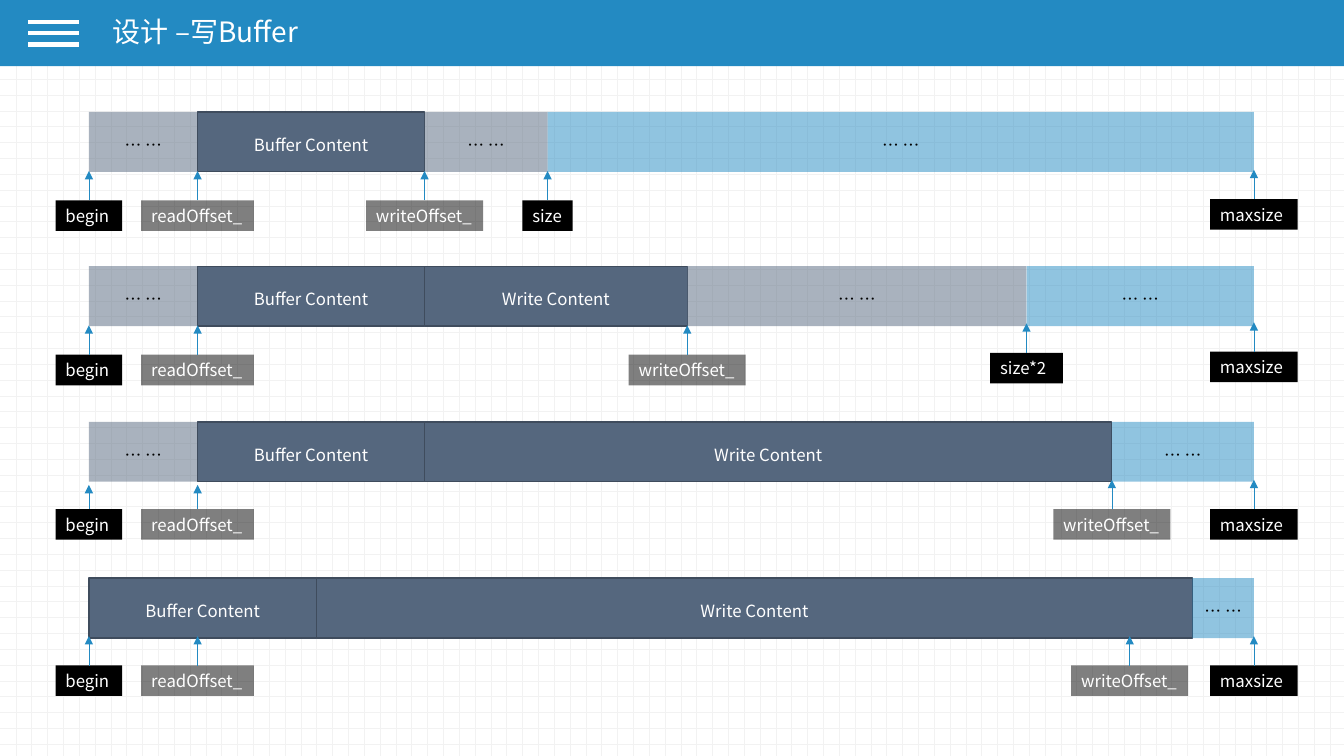
"""Build the buffer-writing slide: four memory layouts with their offset markers."""
from dataclasses import dataclass

import pptx
import pptx.dml.color
import pptx.enum.dml
import pptx.enum.shapes
import pptx.enum.text
import pptx.oxml
import pptx.oxml.ns
import pptx.oxml.xmlchemy
import pptx.util
from pptx.util import Cm

COLORS = {"blue": "238AC2", "slate": "55677E", "edge": "3F4C5D",
          "black": "000000", "white": "FFFFFF", "grid": "F2F2F2"}
FONT = "Noto Sans CJK SC"
LEFT, READ, WRITE, SIZE, MAX = 2.24, 4.98, 10.7, 13.8, 31.6
GAP = "… …"
SEG_H, LABEL_H, ARROW = 1.51, 0.77, 0.74


@dataclass
class Segment:
    """A stretch of memory running up to a given end."""
    text: str
    color: str
    end: float


@dataclass
class Marker:
    """A label centred under the position it points at."""
    text: str
    x: float
    width: float
    color: str = "black"
    alpha: int = 100
    lift: float = 0
    arrow: float = ARROW


@dataclass
class Row:
    """One memory layout."""
    top: float
    label_top: float
    segments: list[Segment]
    markers: list[Marker]


def content(text: str, end: float) -> Segment:
    """Describe a filled segment."""
    return Segment(text, "slate", end)


def gap(color: str, end: float) -> Segment:
    """Describe an unused segment."""
    return Segment(GAP, color, end)


def markers(write_x: float, *extra: Marker, max_lift: float = 0,
            arrow: float = ARROW) -> list[Marker]:
    """List the markers every row has, plus any extra ones."""
    return [Marker("begin", LEFT, 1.68, arrow=arrow),
            Marker("readOffset_", READ, 2.84, alpha=50, arrow=arrow),
            Marker("writeOffset_", write_x, 2.95, alpha=50),
            *extra,
            Marker("maxsize", MAX, 2.21, lift=max_lift)]


ROWS = [
    Row(2.82, 5.05,
        [gap("slate", READ), content("Buffer Content", WRITE), gap("slate", SIZE), gap("blue", MAX)],
        markers(WRITE, Marker("size", SIZE, 1.27), max_lift=0.03)),
    Row(6.71, 8.94,
        [gap("slate", READ), content("Buffer Content", WRITE), content("Write Content", 17.32),
         gap("slate", 25.87), gap("blue", MAX)],
        markers(17.32, Marker("size*2", 25.87, 1.83, lift=0.05), max_lift=0.08)),
    Row(10.63, 12.83,
        [gap("slate", READ), content("Buffer Content", WRITE), content("Write Content", 28.02),
         gap("blue", MAX)],
        markers(28.02, arrow=0.61)),
    Row(14.57, 16.77,
        [content("Buffer Content", 7.98), content("Write Content", 30.05), gap("blue", MAX)],
        markers(28.47)),
]


def rgb(name: str) -> pptx.dml.color.RGBColor:
    """Look up a colour."""
    return pptx.dml.color.RGBColor.from_string(COLORS[name])


def add_text(shape, text: str, color: str, size: int = 12):
    """Write one formatted paragraph in a shape and return it."""
    tf = shape.text_frame
    tf.text = text
    tf.word_wrap = True
    tf.vertical_anchor = pptx.enum.text.MSO_ANCHOR.MIDDLE
    p = tf.paragraphs[0]
    p.alignment = pptx.enum.text.PP_ALIGN.LEFT
    for r in p.runs:
        r.font.name = FONT
        r.font.size = pptx.util.Pt(size)
        r.font.color.rgb = rgb(color)
        ea = pptx.oxml.xmlchemy.OxmlElement("a:ea")
        ea.set("typeface", FONT)
        r.font._element.find(pptx.oxml.ns.qn("a:latin")).addnext(ea)
    return p


def add_box(s, x: float, y: float, w: float, h: float, color: str, alpha: int = 100):
    """Draw a borderless rectangle with the given opacity in percent."""
    box = s.shapes.add_shape(pptx.enum.shapes.MSO_SHAPE.RECTANGLE, Cm(x), Cm(y), Cm(w), Cm(h))
    box.shadow.inherit = False
    box.fill.solid()
    box.fill.fore_color.rgb = rgb(color)
    box.line.fill.background()
    if alpha < 100:
        node = pptx.oxml.xmlchemy.OxmlElement("a:alpha")
        node.set("val", str(alpha * 1000))
        box.element.spPr.find(".//" + pptx.oxml.ns.qn("a:srgbClr")).append(node)
    return box


def add_line(s, x1: float, y1: float, x2: float, y2: float, color: str, width: float,
             arrow: bool = False) -> None:
    """Draw a straight line, with an arrowhead at its end if asked."""
    line = s.shapes.add_connector(pptx.enum.shapes.MSO_CONNECTOR.STRAIGHT,
                                  Cm(x1), Cm(y1), Cm(x2), Cm(y2))
    line.line.color.rgb = rgb(color)
    line.line.width = pptx.util.Pt(width)
    sp_pr = line.element.spPr
    if arrow:
        tail = pptx.oxml.xmlchemy.OxmlElement("a:tailEnd")
        tail.set("type", "triangle")
        sp_pr.find(pptx.oxml.ns.qn("a:ln")).append(tail)
    sp_pr.append(pptx.oxml.xmlchemy.OxmlElement("a:effectLst"))


def add_header(s) -> None:
    """Draw the blue band, the menu bars and the title."""
    title = s.shapes.title
    band = add_box(s, 0, 0, 33.87, 1.67, "blue")
    title.element.addprevious(band.element)
    for i in range(3):
        y = 0.56 + 0.28 * i
        add_line(s, 0.71, y, 1.99, y, "white", 3)
    title.left, title.top, title.width, title.height = Cm(2.59), Cm(0.2), Cm(28.68), Cm(1.27)
    p = add_text(title, "设计 –写Buffer", "white", 20)
    p.line_spacing = 0.9
    p.space_before = pptx.util.Pt(10)


def add_segment(s, segment: Segment, x: float, y: float) -> None:
    """Draw one stretch of memory."""
    unused = segment.text == GAP
    box = add_box(s, x, y, segment.end - x, SEG_H, segment.color, 50 if unused else 100)
    p = add_text(box, segment.text, "black" if unused else "white")
    p.alignment = pptx.enum.text.PP_ALIGN.CENTER
    p.line_spacing = 1.3
    if unused:
        p.space_before = pptx.util.Pt(6)
    else:
        box.line.color.rgb = rgb("edge")
        box.line.width = pptx.util.Pt(1)


def add_marker(s, marker: Marker, label_top: float) -> None:
    """Draw a label and the arrow rising from it."""
    y = label_top - marker.lift
    box = add_box(s, marker.x - marker.width / 2, y, marker.width, LABEL_H,
                  marker.color, marker.alpha)
    add_text(box, marker.text, "white")
    box.text_frame.margin_right = 0
    add_line(s, marker.x, y, marker.x, y - marker.arrow, "blue", 0.5, arrow=True)


def main() -> None:
    """Build and save the slide."""
    prs = pptx.Presentation()
    prs.slide_width, prs.slide_height = Cm(33.87), Cm(19.05)
    s = prs.slides.add_slide(prs.slide_layouts.get_by_name("Title Only"))
    fill = s.background.fill
    fill.patterned()
    fill.pattern = pptx.enum.dml.MSO_PATTERN.DOTTED_GRID
    fill.fore_color.rgb = rgb("grid")
    fill.back_color.rgb = rgb("white")
    add_header(s)
    for row in ROWS:
        x = LEFT
        for segment in row.segments:
            add_segment(s, segment, x, row.top)
            x = segment.end
        for marker in row.markers:
            add_marker(s, marker, row.label_top)
    prs.save("out.pptx")


if __name__ == "__main__":
    main()
